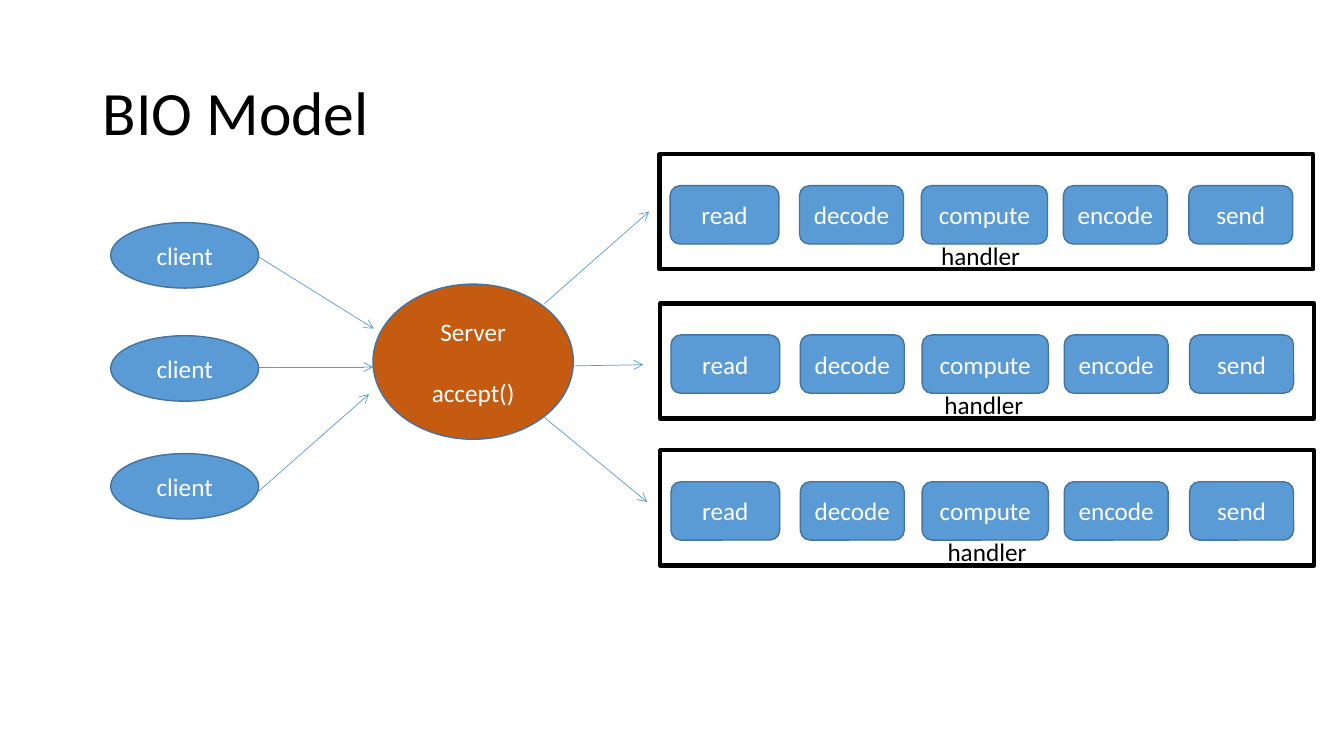
from dataclasses import dataclass

from lxml import etree
from pptx import Presentation
from pptx.dml.color import RGBColor
from pptx.enum.shapes import MSO_CONNECTOR, MSO_SHAPE
from pptx.enum.text import MSO_ANCHOR, MSO_AUTO_SIZE, PP_ALIGN
from pptx.oxml.ns import qn
from pptx.util import Cm, Pt

RECT, ROUND, OVAL = MSO_SHAPE.RECTANGLE, MSO_SHAPE.ROUNDED_RECTANGLE, MSO_SHAPE.OVAL
STRAIGHT = MSO_CONNECTOR.STRAIGHT
MIDDLE, TOP = MSO_ANCHOR.MIDDLE, MSO_ANCHOR.TOP
LEFT, CENTER = PP_ALIGN.LEFT, PP_ALIGN.CENTER
NO_FIT, GROW = MSO_AUTO_SIZE.NONE, MSO_AUTO_SIZE.SHAPE_TO_FIT_TEXT

TITLE = "BIO Model"
TITLE_BOX = (2.34, 1.07, 29.21, 3.68)
CLIENT = "client"
CLIENT_TOPS = (5.61, 8.46, 11.43)
SERVER = ("Server", "accept()")
SERVER_BOX = (9.4, 7.16, 5.05, 3.91)
HANDLER = "handler"
FRAMES = ((16.62, 3.89), (16.64, 7.65), (16.64, 11.35))
STEPS = (
    ("read", 0.27, 2.74),
    ("decode", 3.53, 2.62),
    ("compute", 6.6, 3.18),
    ("encode", 10.18, 2.62),
    ("send", 13.34, 2.62),
)
ARROWS = (
    (6.53, 6.48, 9.42, 8.28),
    (6.53, 9.25, 9.4, 9.25),
    (6.53, 12.37, 9.3, 9.93),
    (13.72, 7.65, 16.36, 5.33),
    (14.45, 9.22, 16.21, 9.19),
    (13.72, 10.52, 16.31, 12.65),
)


@dataclass(frozen=True)
class Theme:
    font: str = "Calibri"
    head: int = 44
    body: int = 18
    gap: int = 22
    black: str = "000000"
    white: str = "FFFFFF"
    blue: str = "5B9BD5"
    edge: str = "43739E"
    rust: str = "C55A11"


THEME = Theme()


def color(code):
    return RGBColor.from_string(code)


def write(frame, lines, size, ink, align, anchor):
    frame.vertical_anchor = anchor
    for i, line in enumerate(lines):
        para = frame.add_paragraph() if i else frame.paragraphs[0]
        para.text = line
        para.alignment = align
        para.font.name = THEME.font
        para.font.size = Pt(size)
        para.font.color.rgb = color(ink)
        if i:
            para.space_before = Pt(THEME.gap)


def shape(slide, kind, box, fill, edge, width, lines=()):
    item = slide.shapes.add_shape(kind, *map(Cm, box))
    item.shadow.inherit = False
    item.fill.solid()
    item.fill.fore_color.rgb = color(fill)
    item.line.color.rgb = color(edge)
    item.line.width = Pt(width)
    if lines:
        write(item.text_frame, lines, THEME.body, THEME.white, CENTER, MIDDLE)


def arrow(slide, ends):
    link = slide.shapes.add_connector(STRAIGHT, *map(Cm, ends))
    link.line.color.rgb = color(THEME.blue)
    link.line.width = Pt(0.5)
    etree.SubElement(link.line._get_or_add_ln(), qn("a:tailEnd"), type="arrow")
    etree.SubElement(link._element.spPr, qn("a:effectLst"))


def label(slide, box):
    frame = slide.shapes.add_textbox(*map(Cm, box)).text_frame
    frame.word_wrap = False
    frame.auto_size = GROW
    write(frame, [HANDLER], THEME.body, THEME.black, LEFT, TOP)


def title(slide):
    head = slide.shapes.title
    head.left, head.top, head.width, head.height = map(Cm, TITLE_BOX)
    write(head.text_frame, [TITLE], THEME.head, THEME.black, LEFT, MIDDLE)
    head.text_frame.auto_size = NO_FIT
    head.text_frame.paragraphs[0].line_spacing = 0.9


def main():
    deck = Presentation()
    deck.slide_width, deck.slide_height = Cm(33.87), Cm(19.05)
    slide = deck.slides.add_slide(deck.slide_layouts[5])
    title(slide)

    for top in CLIENT_TOPS:
        shape(slide, OVAL, (2.79, top, 3.73, 1.65), THEME.blue, THEME.edge, 1, [CLIENT])
    shape(slide, OVAL, SERVER_BOX, THEME.rust, THEME.edge, 1, SERVER)

    for i, (left, top) in enumerate(FRAMES):
        shape(slide, RECT, (left, top, 16.48, 2.9), THEME.white, THEME.black, 3)
        for name, shift, width in STEPS:
            box = (left + shift, top + 0.79, width, 1.47)
            shape(slide, ROUND, box, THEME.blue, THEME.edge, 1, [name])
        label(slide, (23.47 + 0.08 * i, top + 2.04, 2.49, 1.02))

    for ends in ARROWS:
        arrow(slide, ends)
    deck.save("out.pptx")


if __name__ == "__main__":
    main()
